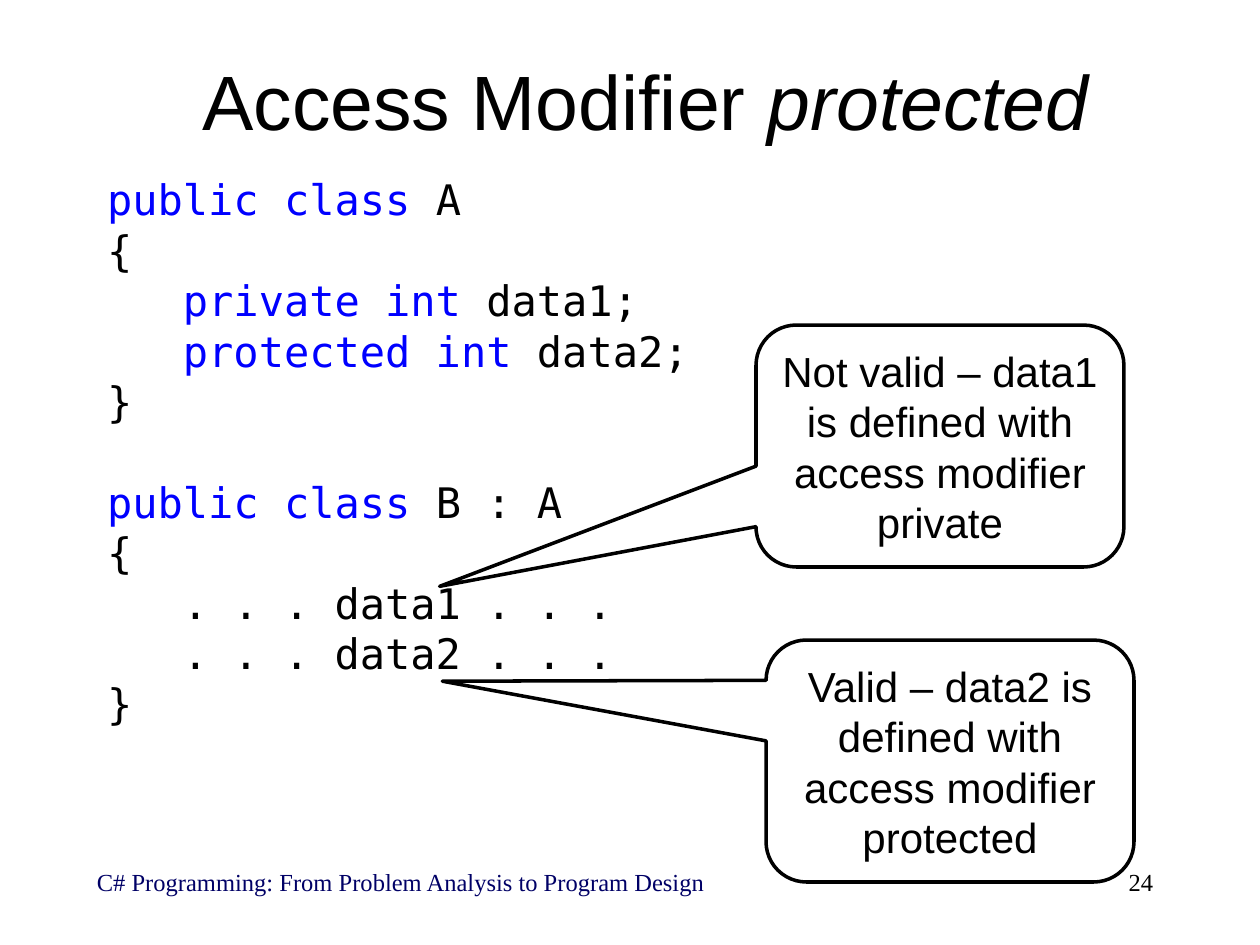
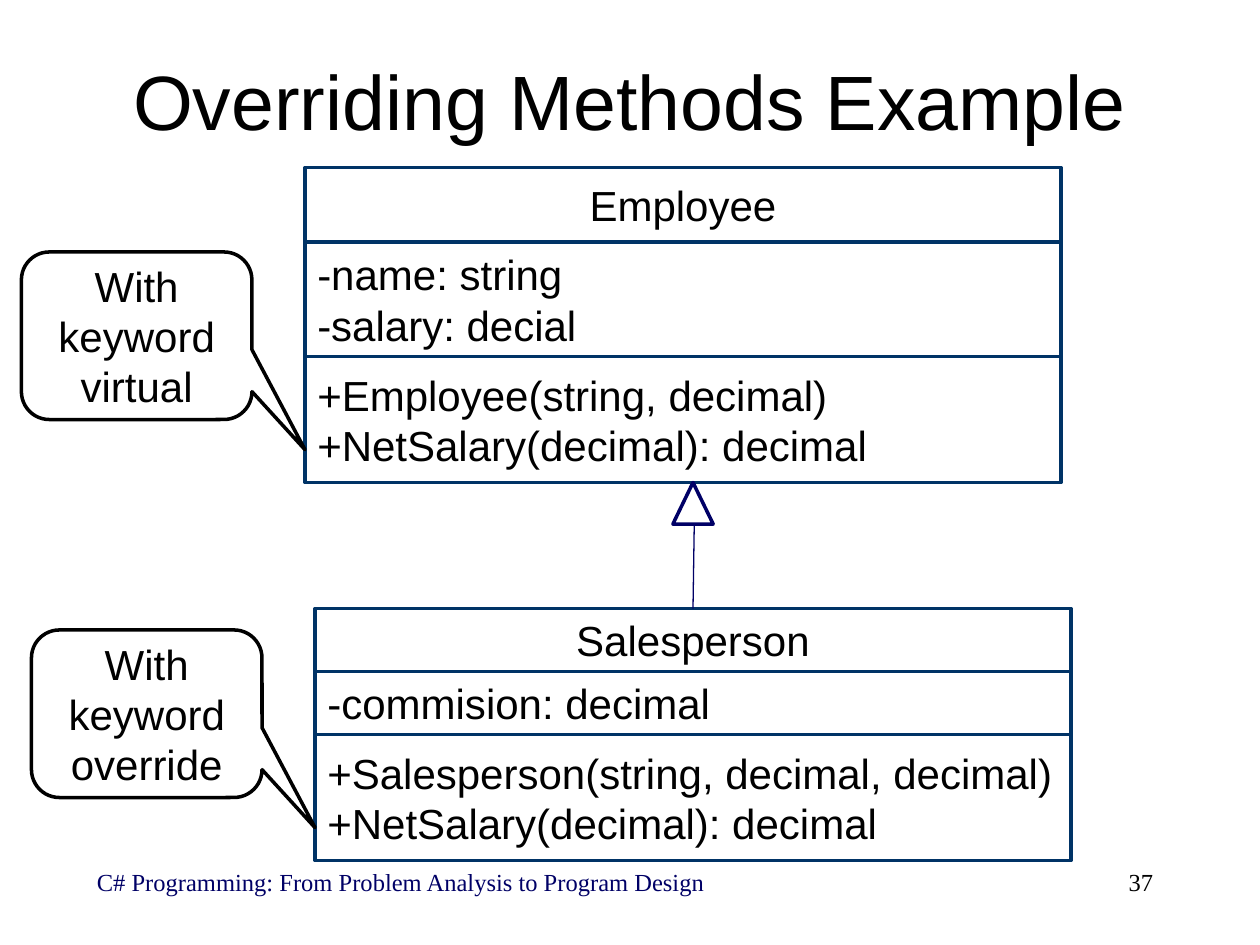
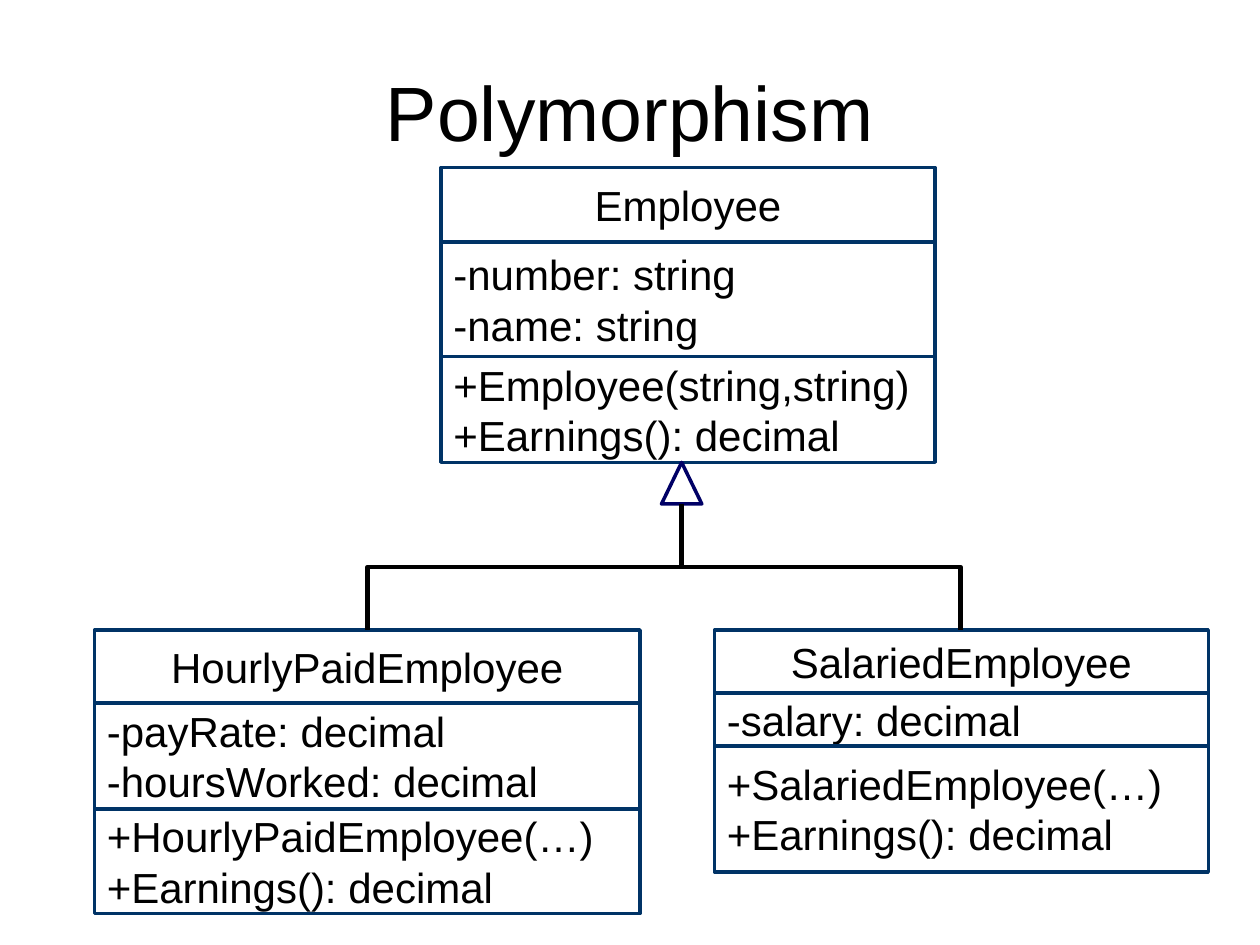
"""Build three slides on C# inheritance and save them as out.pptx."""
from itertools import pairwise

from lxml.etree import SubElement
from pptx import Presentation
from pptx.dml.color import RGBColor
from pptx.enum.shapes import MSO_CONNECTOR, MSO_SHAPE
from pptx.enum.text import MSO_ANCHOR, MSO_AUTO_SIZE, PP_ALIGN
from pptx.oxml.ns import qn
from pptx.util import Inches, Pt

COLORS = {name: RGBColor.from_string(value) for name, value in {
    "text": "000000", "keyword": "0000FF", "navy": "000066",
    "frame": "003366", "white": "FFFFFF"}.items()}
FOOTER = "C# Programming: From Problem Analysis to Program Design"
LINE_PITCH = Pt(28.8)


def add_box(s, kind, at, text, line, fill=None, align=PP_ALIGN.CENTER):
    """Add an outlined shape with 24 point text."""
    sp = s.shapes.add_shape(kind, *map(Inches, at))
    sp.shadow.inherit = False
    sp.line.color.rgb = COLORS[line]
    sp.line.width = Pt(2)
    if fill:
        sp.fill.solid()
        sp.fill.fore_color.rgb = COLORS[fill]
    else:
        sp.fill.background()
    if text:
        tf = sp.text_frame
        tf.text = text
        tf.word_wrap = True
        tf.vertical_anchor = MSO_ANCHOR.MIDDLE
        for p in tf.paragraphs:
            p.alignment = align
            p.line_spacing = LINE_PITCH
            for r in p.runs:
                r.font.name = "Arial"
                r.font.size = Pt(24)
                r.font.color.rgb = COLORS["text"]
    return sp


def add_class(s, left, width, edges, texts):
    """Stack the name, fields and methods of a class and return the name box."""
    boxes = []
    for (top, bottom), text in zip(pairwise(edges), texts):
        align = PP_ALIGN.LEFT if boxes else PP_ALIGN.CENTER
        boxes.append(add_box(s, MSO_SHAPE.RECTANGLE, (left, top, width, bottom - top),
                             text, "frame", align=align))
    return boxes[0]


prs = Presentation()
prs.slide_width, prs.slide_height = Inches(10), Inches(7.5)

slides = []
for layout, runs, left, top, width, number in [
    (1, ["Access Modifier ", "protected"], 0.5, 0.17, 9.25, "24"),
    (5, ["Overriding Methods Example"], 0.75, 0.17, 8.5, "37"),
    (5, ["Polymorphism"], 0.75, 0.25, 8.5, None),
]:
    s = prs.slides.add_slide(prs.slide_layouts[layout])
    slides.append(s)
    title = s.shapes.title
    title.left, title.top = Inches(left), Inches(top)
    title.width, title.height = Inches(width), Inches(1.25)
    tf = title.text_frame
    tf.auto_size = MSO_AUTO_SIZE.NONE
    tf.vertical_anchor = MSO_ANCHOR.MIDDLE
    p = tf.paragraphs[0]
    p.alignment = PP_ALIGN.CENTER
    for text in runs:
        r = p.add_run()
        r.text = text
        r.font.name = "Arial"
        r.font.size = Pt(44)
        r.font.color.rgb = COLORS["text"]
        if text == "protected":
            r.font.italic = True
    if number:
        for text, x, w, color, align in [
            (FOOTER, 0.67, 5.92, "navy", PP_ALIGN.LEFT),
            (number, 7.17, 2.08, "text", PP_ALIGN.RIGHT),
        ]:
            tf = s.shapes.add_textbox(Inches(x), Inches(6.83), Inches(w), Inches(0.5)).text_frame
            tf.word_wrap = True
            p = tf.paragraphs[0]
            p.text = text
            p.alignment = align
            r = p.runs[0]
            r.font.name = "Times New Roman"
            r.font.size = Pt(14)
            r.font.color.rgb = COLORS[color]

modifier, overriding, polymorphism = slides
connectors = []

body = modifier.placeholders[1]
body.left, body.top = Inches(0.75), Inches(1.33)
body.width, body.height = Inches(8.75), Inches(5.17)
tf = body.text_frame
tf.auto_size = MSO_AUTO_SIZE.NONE
for i, (keyword, rest) in enumerate([
    ("public class", " A"),
    ("", "{"),
    ("   private int ", "data1;"),
    ("   protected int ", "data2;"),
    ("", "}"),
    ("public class", " B : A"),
    ("", "{"),
    ("", "   . . . data1 . . ."),
    ("", "   . . . data2 . . ."),
    ("", "}"),
]):
    p = tf.add_paragraph() if i else tf.paragraphs[0]
    pPr = p._p.get_or_add_pPr()
    pPr.set("marL", str(Inches(0.38)))
    pPr.set("indent", str(Inches(-0.38)))
    SubElement(pPr, qn("a:buNone"))
    p.line_spacing = LINE_PITCH
    p.space_before = LINE_PITCH if rest == " B : A" else Pt(0)
    for text, color in [(keyword, "keyword"), (rest, "text")]:
        if text:
            r = p.add_run()
            r.text = text
            r.font.name = "DejaVu Sans Mono"
            r.font.size = Pt(24)
            r.font.color.rgb = COLORS[color]

add_class(overriding, 2.42, 6, (1.33, 1.92, 2.83, 3.83), (
    "Employee",
    "-name: string\n-salary: decial",
    "+Employee(string, decimal)\n+NetSalary(decimal): decimal"))
salesperson = add_class(overriding, 2.5, 6, (4.83, 5.33, 5.83, 6.83), (
    "Salesperson",
    "-commision: decimal",
    "+Salesperson(string, decimal, decimal)\n+NetSalary(decimal): decimal"))
add_box(overriding, MSO_SHAPE.ISOSCELES_TRIANGLE, (5.34, 3.83, 0.32, 0.33), "", "navy")
c = overriding.shapes.add_connector(
    MSO_CONNECTOR.STRAIGHT, Inches(5.51), Inches(4.17), Inches(5.5), Inches(4.83))
c.end_connect(salesperson, 0)
connectors.append((c, "navy", 0.75))

for s, at, tail, text in [
    (modifier, (6, 2.58, 2.92, 1.92), (-1.36, 0.58),
     "Not valid – data1 is defined with access modifier private"),
    (modifier, (6.08, 5.08, 2.92, 1.92), (-1.38, -0.33),
     "Valid – data2 is defined with access modifier protected"),
    (overriding, (0.17, 2, 1.83, 1.33), (0.73, 0.68), "With keyword virtual"),
    (overriding, (0.25, 5, 1.83, 1.33), (0.73, 0.68), "With keyword override"),
]:
    sp = add_box(s, MSO_SHAPE.ROUNDED_RECTANGULAR_CALLOUT, at, text, "text", "white")
    sp.adjustments[0], sp.adjustments[1] = tail

add_class(polymorphism, 3.5, 3.92, (1.33, 1.92, 2.83, 3.67), (
    "Employee",
    "-number: string\n-name: string",
    "+Employee(string,string)\n+Earnings(): decimal"))
add_class(polymorphism, 0.75, 4.33, (5, 5.58, 6.42, 7.25), (
    "HourlyPaidEmployee",
    "-payRate: decimal\n-hoursWorked: decimal",
    "+HourlyPaidEmployee(…)\n+Earnings(): decimal"))
add_class(polymorphism, 5.67, 3.92, (5, 5.5, 5.92, 6.92), (
    "SalariedEmployee",
    "-salary: decimal",
    "+SalariedEmployee(…)\n+Earnings(): decimal"))
add_box(polymorphism, MSO_SHAPE.ISOSCELES_TRIANGLE, (5.25, 3.67, 0.32, 0.33), "", "navy")

stem_x, stem_y, child_y = 5.41, 4, 5
for child_x in (2.92, 7.62):
    mid_x, mid_y = (stem_x + child_x) / 2, (stem_y + child_y) / 2
    half_span, half_drop = abs(child_x - stem_x) / 2, (child_y - stem_y) / 2
    side = 1 if child_x < stem_x else -1
    c = polymorphism.shapes.add_connector(
        MSO_CONNECTOR.ELBOW,
        Inches(mid_x - side * half_drop), Inches(mid_y - half_span),
        Inches(mid_x + side * half_drop), Inches(mid_y + half_span))
    c._element.spPr.find(qn("a:xfrm")).set("rot", str((90 if side == 1 else 270) * 60000))
    connectors.append((c, "text", 2.75))

for c, color, width in connectors:
    c.line.color.rgb = COLORS[color]
    c.line.width = Pt(width)
    SubElement(c._element.spPr, qn("a:effectLst"))

prs.save("out.pptx")
